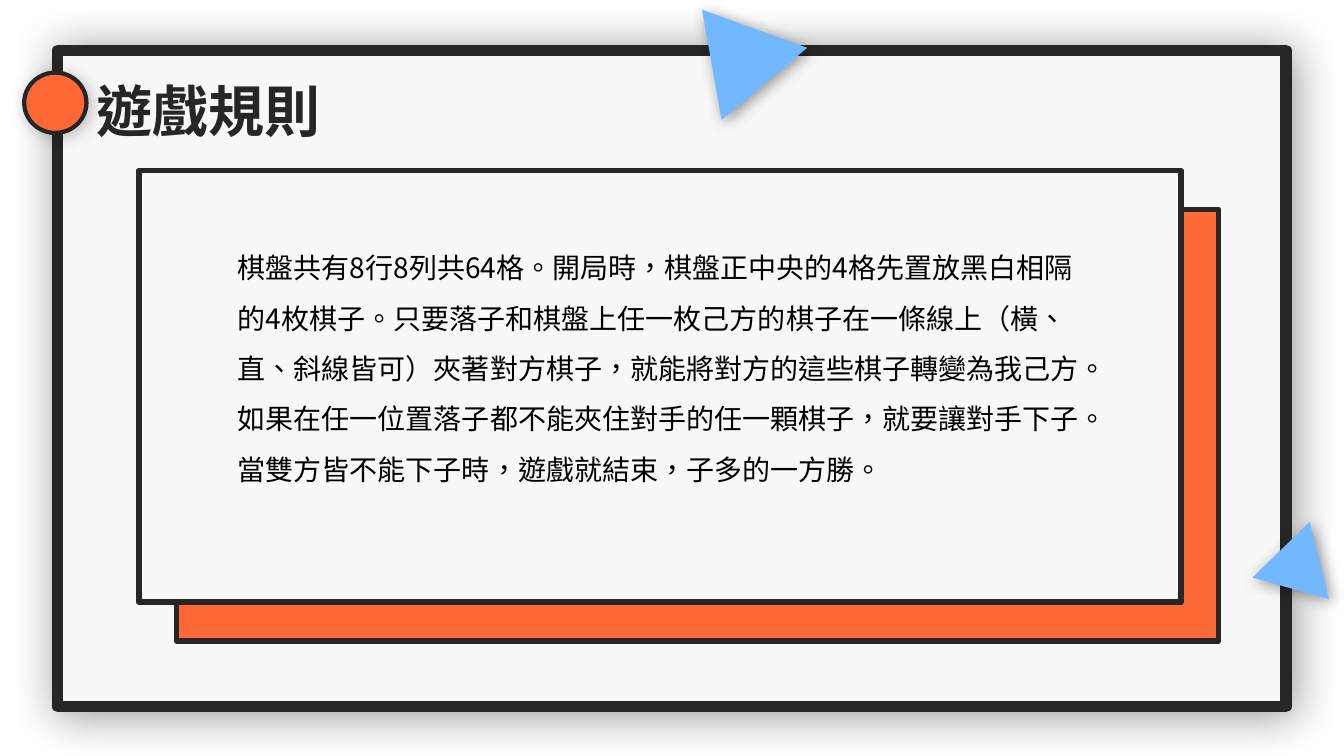
from pptx import Presentation
from pptx.dml.color import RGBColor
from pptx.enum.shapes import MSO_SHAPE as Shape
from pptx.enum.text import MSO_AUTO_SIZE as AutoSize
from pptx.oxml import parse_xml
from pptx.oxml.ns import nsdecls
from pptx.util import Cm, Pt

INK = RGBColor(0x26, 0x26, 0x26)
PAPER = RGBColor(0xF8, 0xF8, 0xF8)
ORANGE = RGBColor(0xFE, 0x68, 0x35)
BLUE = RGBColor(0x72, 0xB8, 0xFF)
BLACK = RGBColor(0, 0, 0)
FONT = "Noto Sans CJK SC"

TITLE = "遊戲規則"
RULES = (
    "棋盤共有8行8列共64格。開局時，棋盤正中央的4格先置放黑白相隔的4枚棋子。"
    "只要落子和棋盤上任一枚己方的棋子在一條線上（橫、直、斜線皆可）夾著對方棋子，"
    "就能將對方的這些棋子轉變為我己方。"
    "如果在任一位置落子都不能夾住對手的任一顆棋子，就要讓對手下子。"
    "當雙方皆不能下子時，遊戲就結束，子多的一方勝。"
)


def add_shadow(shape, opacity, blur):
    """Give a shape a soft black shadow falling to the lower right."""
    shape._element.spPr.append(parse_xml(
        f'<a:effectLst {nsdecls("a")}>'
        f'<a:outerShdw blurRad="{Pt(blur)}" dist="{Pt(3)}" dir="2700000"'
        ' algn="tl" rotWithShape="0"><a:srgbClr val="000000">'
        f'<a:alpha val="{opacity * 1000}"/></a:srgbClr></a:outerShdw></a:effectLst>'
    ))


def add_figure(slide, kind, box, fill, border=0, shadow=None, rotation=0):
    """Draw a filled preset shape with optional border, shadow and rotation."""
    figure = slide.shapes.add_shape(kind, *map(Cm, box))
    figure.rotation = rotation
    figure.fill.solid()
    figure.fill.fore_color.rgb = fill
    if border:
        figure.line.color.rgb = INK
        figure.line.width = Pt(border)
    else:
        figure.line.fill.background()
    if shadow:
        add_shadow(figure, *shadow)
    else:
        figure.shadow.inherit = False


def add_text(slide, box, words, size, color, bold=False, wrap=True, spacing=1.0):
    """Place one paragraph of Traditional Chinese text."""
    frame = slide.shapes.add_textbox(*map(Cm, box)).text_frame
    frame.word_wrap = wrap
    frame.auto_size = AutoSize.SHAPE_TO_FIT_TEXT
    paragraph = frame.paragraphs[0]
    paragraph.line_spacing = spacing
    run = paragraph.add_run()
    run.text = words
    run.font.size = Pt(size)
    run.font.bold = bold
    run.font.color.rgb = color
    run.font.name = FONT
    properties = run._r.get_or_add_rPr()
    properties.set("lang", "zh-TW")
    properties.append(parse_xml(f'<a:ea {nsdecls("a")} typeface="{FONT}"/>'))


def main():
    """Build the game rules slide and save it."""
    deck = Presentation()
    deck.slide_width, deck.slide_height = Cm(33.87), Cm(19.05)
    slide = deck.slides.add_slide(deck.slide_layouts[6])

    add_figure(slide, Shape.RECTANGLE, (1.45, 1.27, 30.96, 16.54), PAPER, 8, (40, 32))
    add_figure(slide, Shape.OVAL, (0.61, 1.83, 1.57, 1.52), ORANGE, 3, (23, 12))
    add_text(slide, (2.18, 1.8, 6.22, 1.96), TITLE, 40, INK, bold=True, wrap=False)

    for left, top, fill in ((4.45, 5.28, ORANGE), (3.5, 4.3, PAPER)):
        add_figure(slide, Shape.RECTANGLE, (left, top, 26.26, 10.87), fill, 4)
    add_text(slide, (5.74, 5.77, 21.77, 6.68), RULES, 20, BLACK, spacing=1.5)

    for box, rotation in (
        ((17.73, 0.2, 2.82, 2.44), 79.9),
        ((31.88, 13.61, 2.01, 1.73), 135.9),
    ):
        add_figure(slide, Shape.ISOSCELES_TRIANGLE, box, BLUE,
                   shadow=(40, 11), rotation=rotation)

    deck.save("out.pptx")


if __name__ == "__main__":
    main()
